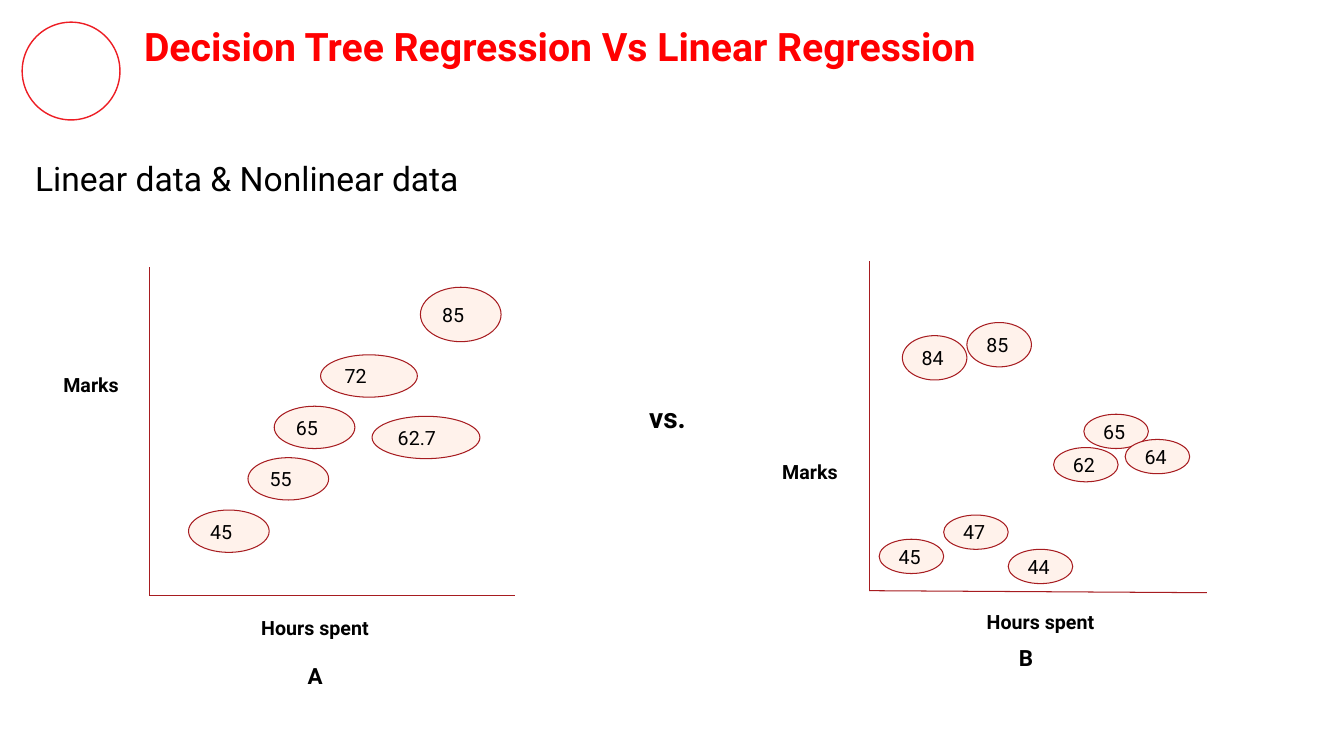
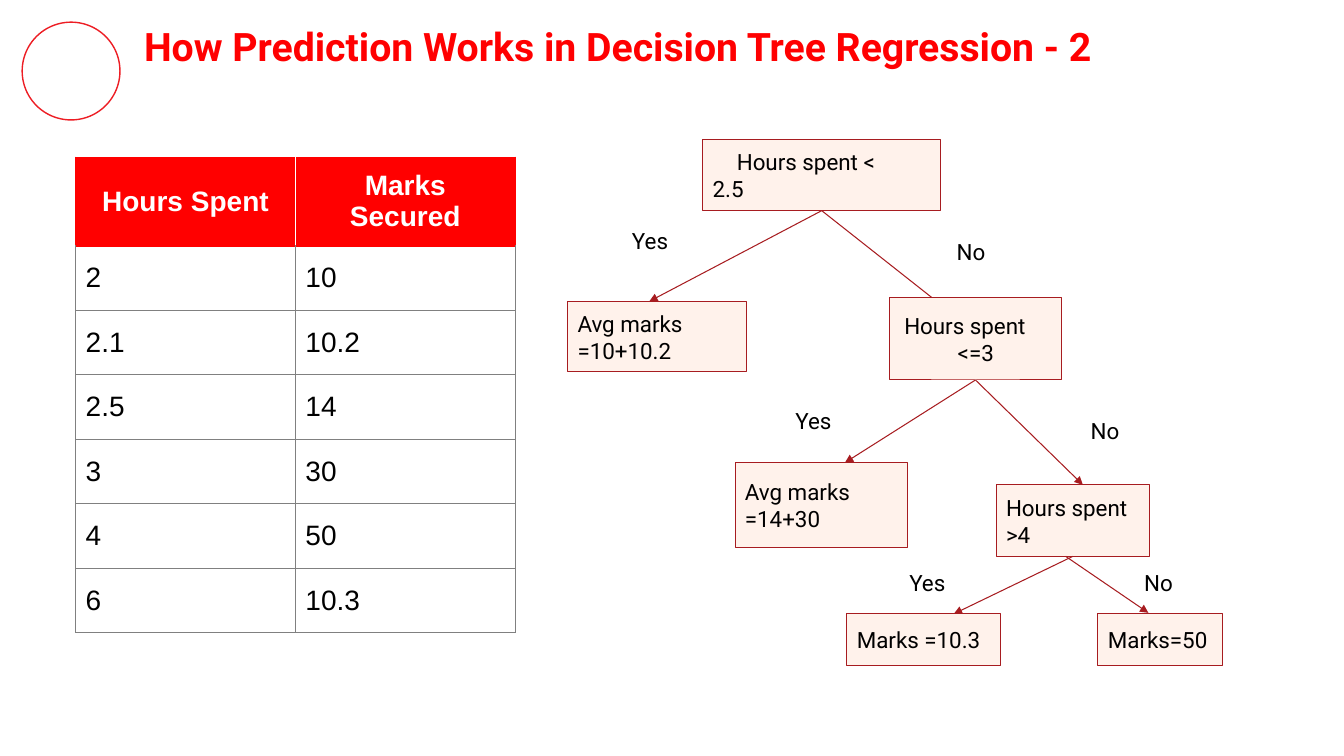
from lxml.etree import SubElement
from pptx import Presentation
from pptx.dml.color import RGBColor
from pptx.enum.shapes import MSO_CONNECTOR, MSO_SHAPE
from pptx.enum.text import MSO_ANCHOR, PP_ALIGN
from pptx.oxml.ns import qn
from pptx.util import Pt

PX = 9144
FONT = "Roboto"
TABLE_FONT = "Arial"
COLOURS = {
    "title": "FF0001", "ring": "ED1D24", "outline": "A71C20", "blush": "FFF2EB",
    "header": "FF0000", "grid": "808080", "ink": "000000", "paper": "FFFFFF",
}

SCATTERS = [
    {
        "axes": [(148, 265, 148, 591), (148, 591, 511, 591)],
        "labels": [
            ("Hours spent", (199, 601, 227, 44), 14, PP_ALIGN.CENTER),
            ("Marks", (53, 360, 96, 44), 14, PP_ALIGN.LEFT),
            ("A", (259, 647, 107, 47), 16, PP_ALIGN.CENTER),
        ],
        "points": [
            ("45", (187, 506, 80, 42)), ("55", (246, 454, 80, 42)),
            ("65", (272, 403, 80, 42)), ("62.7", (369, 413, 107, 42)),
            ("72", (318, 352, 96, 42)), ("85", (417, 285, 80, 54)),
        ],
    },
    {
        "axes": [(862, 259, 862, 586), (862, 586, 1197, 588)],
        "labels": [
            ("Hours spent", (868, 595, 328, 44), 14, PP_ALIGN.CENTER),
            ("Marks", (766, 446, 86, 44), 14, PP_ALIGN.LEFT),
            ("B", (979, 629, 77, 47), 16, PP_ALIGN.CENTER),
        ],
        "points": [
            ("45", (872, 535, 64, 34)), ("47", (936, 511, 64, 34)),
            ("44", (1000, 545, 64, 34)), ("65", (1075, 411, 64, 34)),
            ("64", (1116, 436, 64, 34)), ("62", (1045, 444, 64, 34)),
            ("85", (959, 320, 64, 44)), ("84", (895, 333, 64, 44)),
        ],
    },
]

MARKS_ROWS = [
    ("Hours Spent", "Marks\vSecured"),
    ("2", "10"), ("2.1", "10.2"), ("2.5", "14"),
    ("3", "30"), ("4", "50"), ("6", "10.3"),
]
HEADER_HEIGHT, ROW_HEIGHT, COLUMN_WIDTH = 88, 64, 218

NODES = {
    "root": ("Hours spent <\t2.5", (697, 138, 236, 71), (24,)),
    "low": ("Avg marks =10+10.2", (563, 299, 177, 70), (0,)),
    "middle": ("Hours spent\n<=3", (882, 295, 171, 82), (5, 58)),
    "average": ("Avg marks =14+30", (729, 459, 171, 84), (0,)),
    "high": ("Hours spent >4", (988, 481, 152, 71), (0,)),
    "ten": ("Marks =10.3", (840, 609, 152, 51), (0,)),
    "fifty": ("Marks=50", (1089, 609, 124, 51), (0,)),
}
TAB_STOP = 178
BRANCHES = [
    ("root", 815, 644, 299, True), ("root", 815, 924, 295, False),
    ("middle", 968, 838, 459, True), ("middle", 968, 1074, 481, True),
    ("high", 1064, 946, 609, True), ("high", 1057, 1139, 608, True),
]
ANSWERS = [
    ("Yes", (617, 215, 74, 47), 1), ("No", (939, 226, 106, 47), 1),
    ("Yes", (779, 394, 62, 47), 1), ("No", (1072, 404, 74, 47), 1),
    ("Yes", (892, 560, 62, 33), 0.8), ("No", (1125, 560, 52, 33), 0.8),
]


def emu(values):
    return [value * PX for value in values]


def rgb(name):
    return RGBColor.from_string(COLOURS[name])


def style_text(frame, size, colour="ink", bold=False, align=PP_ALIGN.LEFT, font=FONT):
    for para in frame.paragraphs:
        para.alignment = align
        for span in para.runs:
            span.font.name = font
            span.font.size = Pt(size)
            span.font.bold = bold
            span.font.color.rgb = rgb(colour)


def set_margins(target, side=10, end=10):
    target.margin_left = target.margin_right = side * PX
    target.margin_top = target.margin_bottom = end * PX


def add_text(page, text, place, size, end=10, spacing=1, **style):
    frame = page.shapes.add_textbox(*emu(place)).text_frame
    frame.word_wrap = True
    set_margins(frame, end=end)
    frame.text = text
    style_text(frame, size, **style)
    if spacing != 1:
        frame.paragraphs[0].line_spacing = spacing


def add_filled(page, kind, text, place, size):
    shape = page.shapes.add_shape(kind, *emu(place))
    shape.shadow.inherit = False
    shape.fill.solid()
    shape.fill.fore_color.rgb = rgb("blush")
    shape.line.color.rgb = rgb("outline")
    shape.line.width = Pt(0.75)
    frame = shape.text_frame
    frame.word_wrap = True
    frame.vertical_anchor = MSO_ANCHOR.MIDDLE
    set_margins(frame)
    frame.text = text
    style_text(frame, size)
    return shape


def add_line(page, ends, arrow=False):
    line = page.shapes.add_connector(MSO_CONNECTOR.STRAIGHT, *emu(ends))
    line.line.color.rgb = rgb("outline")
    line.line.width = Pt(0.75)
    if arrow:
        SubElement(line.line._get_or_add_ln(), qn("a:tailEnd"), type="triangle")
    SubElement(line._element.spPr, qn("a:effectLst"))
    return line


def indent_lines(frame, indents):
    for para, indent in zip(frame.paragraphs, indents):
        properties = para._p.get_or_add_pPr()
        properties.set("marL", "0")
        properties.set("indent", str(indent * PX))
        if "\t" in para.text:
            stops = SubElement(properties, qn("a:tabLst"))
            SubElement(stops, qn("a:tab"), pos=str(TAB_STOP * PX), algn="l")


def add_page(deck, title):
    page = deck.slides.add_slide(deck.slide_layouts[6])
    ring = page.shapes.add_shape(MSO_SHAPE.OVAL, *emu((22, 22, 97, 97)))
    ring.shadow.inherit = False
    ring.fill.background()
    ring.line.color.rgb = rgb("ring")
    ring.line.width = Pt(1)
    add_text(page, title, (133, 12, 1118, 67), 28, colour="title", bold=True)
    return page


def add_scatter(page, scatter):
    for ends in scatter["axes"]:
        add_line(page, ends)
    for text, place, size, align in scatter["labels"]:
        add_text(page, text, place, size, bold=True, align=align)
    for text, place in scatter["points"]:
        add_filled(page, MSO_SHAPE.OVAL, text, place, 14)


def add_borders(cell, colours):
    properties = cell._tc.get_or_add_tcPr()
    for side, colour in zip("LRTB", colours):
        border = SubElement(properties, qn(f"a:ln{side}"), w=str(Pt(1)))
        fill = SubElement(border, qn("a:solidFill"))
        SubElement(fill, qn("a:srgbClr"), val=COLOURS[colour])


def add_marks_table(page):
    count = len(MARKS_ROWS)
    size = (2 * COLUMN_WIDTH, HEADER_HEIGHT + (count - 1) * ROW_HEIGHT)
    table = page.shapes.add_table(count, 2, *emu((75, 156, *size))).table
    for column in table.columns:
        column.width = COLUMN_WIDTH * PX
    for row, texts in enumerate(MARKS_ROWS):
        header = row == 0
        table.rows[row].height = (HEADER_HEIGHT if header else ROW_HEIGHT) * PX
        for column, text in enumerate(texts):
            cell = table.cell(row, column)
            if header:
                sides = ("paper", "header") if column else ("header", "paper")
                borders = (*sides, "header", "header")
            else:
                borders = ("grid", "grid", "header" if row == 1 else "grid", "grid")
            add_borders(cell, borders)
            cell.fill.solid()
            cell.fill.fore_color.rgb = rgb("header" if header else "paper")
            cell.vertical_anchor = MSO_ANCHOR.MIDDLE
            set_margins(cell)
            cell.text_frame.text = text
            style_text(
                cell.text_frame, 20, "paper" if header else "ink", header,
                PP_ALIGN.CENTER if header else PP_ALIGN.LEFT, TABLE_FONT,
            )


def add_tree(page):
    boxes = {}
    for name, (text, place, indents) in NODES.items():
        boxes[name] = add_filled(page, MSO_SHAPE.RECTANGLE, text, place, 16)
        indent_lines(boxes[name].text_frame, indents)
    for name, start, end, bottom, arrow in BRANCHES:
        left, top, width, height = NODES[name][1]
        line = add_line(page, (start, top + height, end, bottom), arrow)
        if abs(left + width / 2 - start) < 2:
            line.begin_connect(boxes[name], 2)
    for text, place, spacing in ANSWERS:
        add_text(page, text, place, 16, spacing=spacing)


def main():
    deck = Presentation()
    deck.slide_width, deck.slide_height = emu((1333, 750))

    page = add_page(deck, "Decision Tree Regression Vs Linear Regression")
    add_text(page, "Linear data & Nonlinear data", (25, 156, 670, 46), 24, end=5, spacing=0.9)
    for scatter in SCATTERS:
        add_scatter(page, scatter)
    add_text(page, "vs.", (634, 387, 64, 54), 20, bold=True)

    page = add_page(deck, "How Prediction Works in Decision Tree Regression - 2")
    add_marks_table(page)
    add_tree(page)

    deck.save("out.pptx")


if __name__ == "__main__":
    main()
